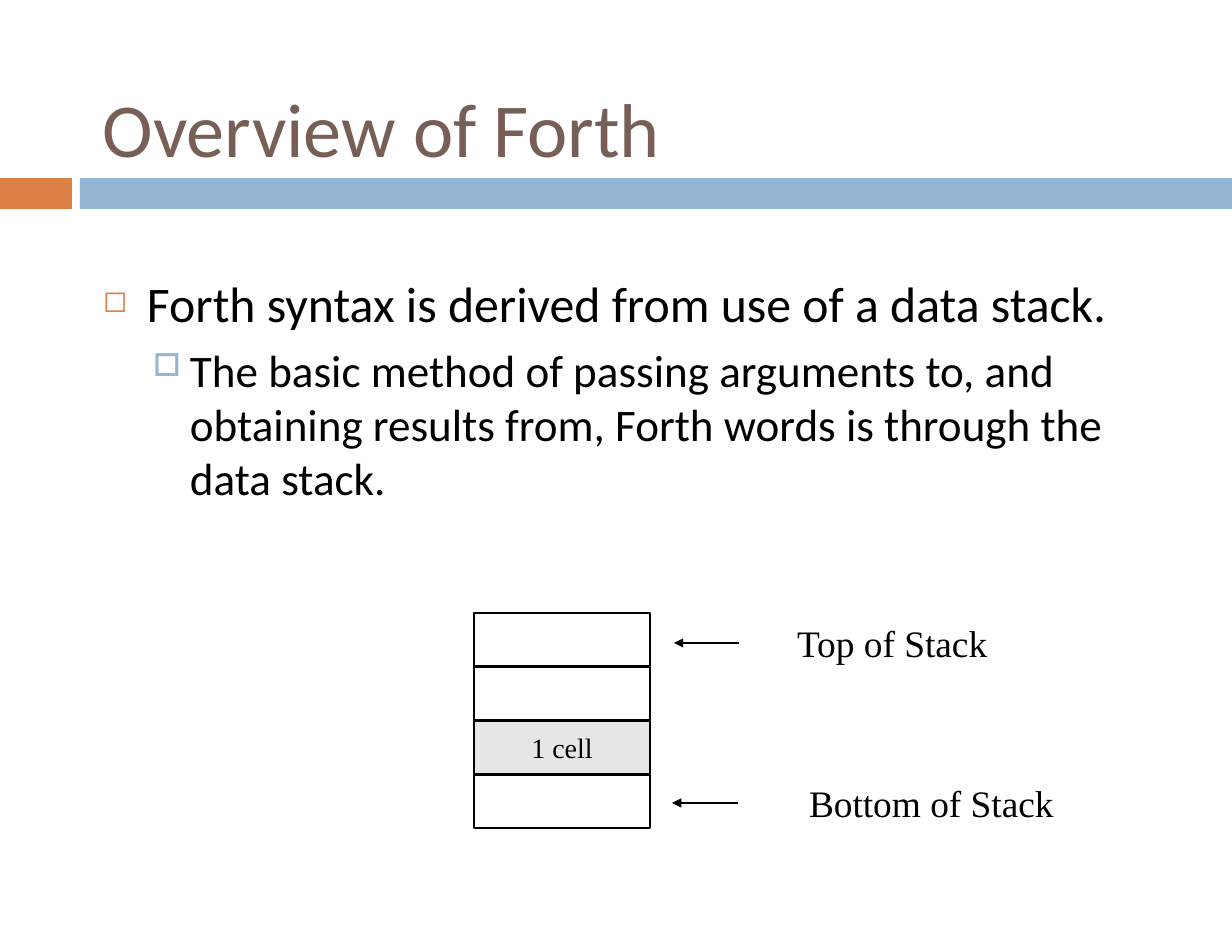
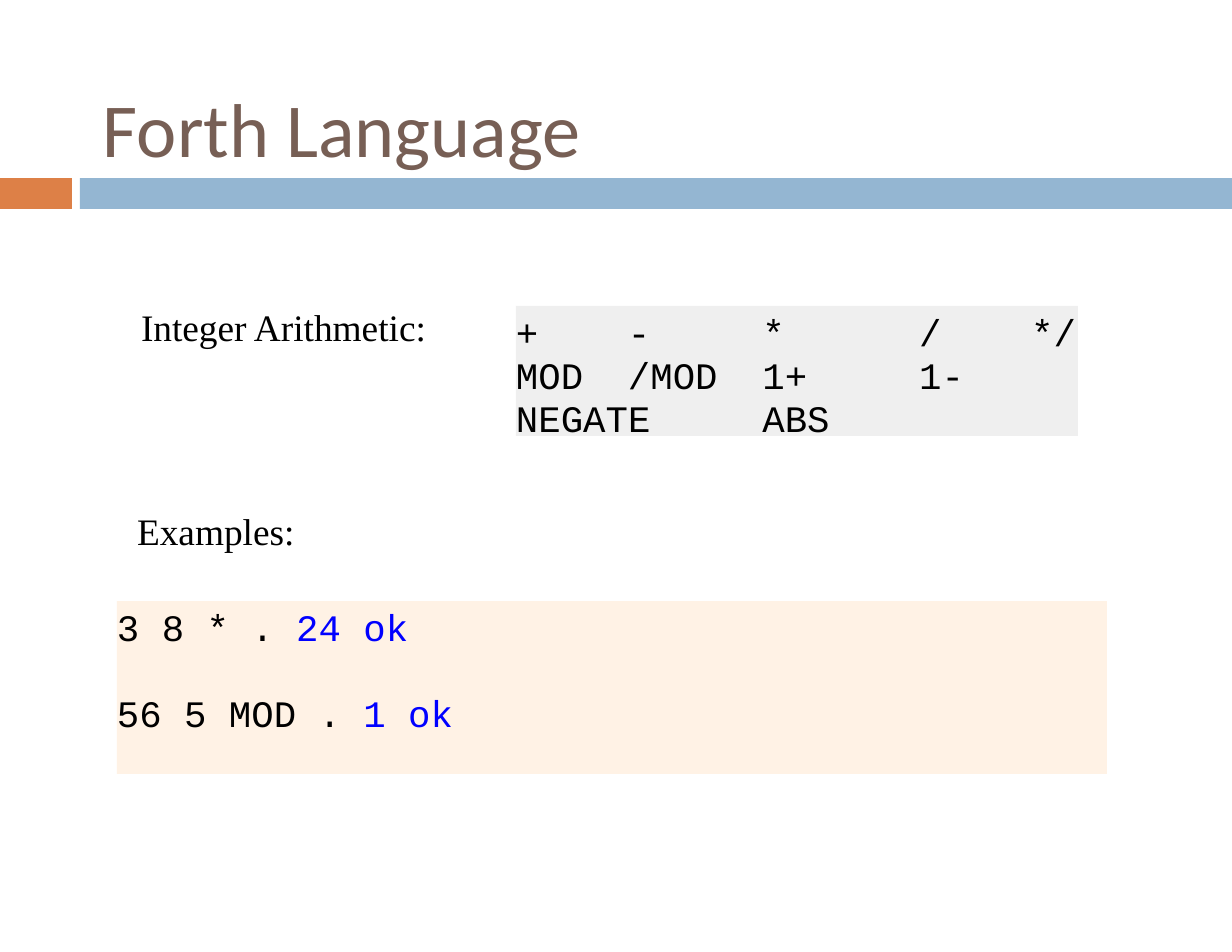
"""Build two slides about the Forth data stack and integer arithmetic."""
from lxml import etree
from pptx import Presentation
from pptx import util as u
from pptx.dml.color import RGBColor
from pptx.enum import shapes, text
from pptx.oxml import ns

BLACK = RGBColor(0x00, 0x00, 0x00)
WHITE = RGBColor(0xFF, 0xFF, 0xFF)
BROWN = RGBColor(0x77, 0x5F, 0x55)
ORANGE = RGBColor(0xDD, 0x80, 0x47)
STEEL = RGBColor(0x94, 0xB6, 0xD2)
CELL_GRAY = RGBColor(0xE6, 0xE6, 0xE6)
SILVER = RGBColor(0xC0, 0xC0, 0xC0)
PEACH = RGBColor(0xFF, 0xCC, 0x99)
BLUE = RGBColor(0x00, 0x00, 0xFF)
SANS, SERIF, MONO = "Calibri", "Times New Roman", "Courier New"

BANDS = [((0, 178, 72, 31), ORANGE), ((80, 178, 1152, 31), STEEL)]
TITLE_BOX = (91, 47, 1052, 160)
BODY_BOX = (91, 266, 1052, 597)
BODY_INSETS = (12, 7, 12, 7)

BULLETS = [
    dict(text="Forth syntax is derived from use of a data stack.",
         size=32, before=0, left=44, hang=44, char="◻", color=ORANGE, pct=60),
    dict(text="The basic method of passing arguments to, and obtaining results "
              "from, Forth words is through the data stack.",
         size=29, before=6.1, left=87, hang=37, char="□", color=STEEL, pct=70),
]
CELLS = [("", WHITE), ("", WHITE), ("1 cell", CELL_GRAY), ("", WHITE)]
CELL_X, CELL_Y, CELL_W, CELL_H, CELL_STEP = 474, 613, 176, 53, 54
STACK_LABELS = [("Top of Stack", 797, 618), ("Bottom of Stack", 809, 778)]
STACK_ARROWS = [(739, 674, 643), (738, 672, 803)]

SECTION_LABELS = [("Integer Arithmetic:", 141, 302), ("Examples:", 137, 506)]
OPERATORS = [
    ["+", "-", "*", "/", "*/"],
    ["MOD", "/MOD", "1+", "1-"],
    ["NEGATE", "ABS"],
]
OPERATOR_COLUMNS = [5, 11, 18, 23]
OPERATOR_BOX = (516, 306, 562, 130)
EXAMPLES = [("3 8 * . ", "24 ok"), ("56 5 MOD . ", "1 ok")]
EXAMPLE_BOX = (117, 601, 990, 173)
CODE_SIZE, CODE_LINE, CODE_CHAR_PT = 24, 27.7, 14.4


def px(n):
    return u.Emu(round(n * 914400 / 112))


def sub(parent, tag, **attrs):
    return etree.SubElement(parent, ns.qn(tag), attrs)


def add_run(p, words, size, font, color):
    r = p.add_run()
    r.text = words
    r.font.size = u.Pt(size)
    r.font.name = font
    r.font.color.rgb = color


def set_frame(sp, insets=(0, 0, 0, 0), anchor=text.MSO_ANCHOR.TOP):
    tf = sp.text_frame
    tf.word_wrap = True
    tf.vertical_anchor = anchor
    tf.margin_left, tf.margin_top, tf.margin_right, tf.margin_bottom = map(px, insets)
    return tf


def add_textbox(s, box, **frame):
    return set_frame(s.shapes.add_textbox(*map(px, box)), **frame)


def add_block(s, box, fill, line=None, kind=shapes.MSO_SHAPE.RECTANGLE):
    sp = s.shapes.add_shape(kind, *map(px, box))
    sp.shadow.inherit = False
    sp.fill.solid()
    sp.fill.fore_color.rgb = fill
    if line is None:
        sp.line.fill.background()
    else:
        sp.line.color.rgb = line
        sp.line.width = u.Pt(0.75)
    return sp


def add_label(s, words, x, y):
    tf = add_textbox(s, (x, y, 320, 44), insets=(0, 2, 0, 0))
    add_run(tf.paragraphs[0], words, 24, SERIF, BLACK)


def add_code_panel(s, box, fill):
    sp = add_block(s, box, fill)
    color = sp.fill._xPr.find(".//" + ns.qn("a:srgbClr"))
    sub(color, "a:alpha", val="25000")
    return set_frame(sp, insets=(0, 5, 0, 0))


def next_paragraph(tf, i):
    p = tf.add_paragraph() if i else tf.paragraphs[0]
    p.alignment = text.PP_ALIGN.LEFT
    return p


def add_bullet(p, item):
    ppr = p._p.get_or_add_pPr()
    ppr.set("marL", str(px(item["left"])))
    ppr.set("indent", str(-px(item["hang"])))
    sub(sub(ppr, "a:buClr"), "a:srgbClr", val=str(item["color"]))
    sub(ppr, "a:buSzPct", val=str(item["pct"] * 1000))
    sub(ppr, "a:buChar", char=item["char"])
    if item["before"]:
        p.space_before = u.Pt(item["before"])
    add_run(p, item["text"], item["size"], SANS, BLACK)


def add_arrow(s, x1, x2, y):
    c = s.shapes.add_connector(shapes.MSO_CONNECTOR.STRAIGHT, *map(px, (x1, y, x2, y)))
    c.line.color.rgb = BLACK
    c.line.width = u.Pt(0.75)
    sub(c.line._get_or_add_ln(), "a:tailEnd", type="triangle")
    sub(c._element.spPr, "a:effectLst")


def add_slide(prs, title):
    s = prs.slides.add_slide(prs.slide_layouts[6])
    for box, color in BANDS:
        add_block(s, box, color)
    tf = add_textbox(s, TITLE_BOX, insets=BODY_INSETS, anchor=text.MSO_ANCHOR.MIDDLE)
    add_run(tf.paragraphs[0], title, 49, SANS, BROWN)
    return s


def build_overview(prs):
    s = add_slide(prs, "Overview of Forth")
    tf = add_textbox(s, BODY_BOX, insets=BODY_INSETS)
    for i, item in enumerate(BULLETS):
        add_bullet(next_paragraph(tf, i), item)
    for i, (words, fill) in reversed(list(enumerate(CELLS))):
        box = (CELL_X, CELL_Y + i * CELL_STEP, CELL_W, CELL_H)
        sp = add_block(s, box, fill, BLACK, shapes.MSO_SHAPE.ROUNDED_RECTANGLE)
        sp.adjustments[0] = 0
        if words:
            p = set_frame(sp, anchor=text.MSO_ANCHOR.MIDDLE).paragraphs[0]
            p.alignment = text.PP_ALIGN.CENTER
            add_run(p, words, 18, SERIF, BLACK)
    for label in STACK_LABELS:
        add_label(s, *label)
    for arrow in STACK_ARROWS:
        add_arrow(s, *arrow)


def build_language(prs):
    s = add_slide(prs, "Forth Language")
    for label in SECTION_LABELS:
        add_label(s, *label)
    tf = add_code_panel(s, OPERATOR_BOX, SILVER)
    for i, row in enumerate(OPERATORS):
        p = next_paragraph(tf, i)
        tabs = sub(p._p.get_or_add_pPr(), "a:tabLst")
        for column in OPERATOR_COLUMNS:
            sub(tabs, "a:tab", pos=str(u.Pt(column * CODE_CHAR_PT)), algn="l")
        p.line_spacing = u.Pt(CODE_LINE)
        add_run(p, "\t".join(row), CODE_SIZE, MONO, BLACK)
    tf = add_code_panel(s, EXAMPLE_BOX, PEACH)
    for i, (code, result) in enumerate(EXAMPLES):
        p = next_paragraph(tf, i)
        p.line_spacing = u.Pt(CODE_LINE)
        if i:
            p.space_before = u.Pt(CODE_LINE)
        add_run(p, code, CODE_SIZE, MONO, BLACK)
        add_run(p, result, CODE_SIZE, MONO, BLUE)


def main():
    prs = Presentation()
    prs.slide_width, prs.slide_height = px(1232), px(952)
    build_overview(prs)
    build_language(prs)
    prs.save("out.pptx")


if __name__ == "__main__":
    main()
